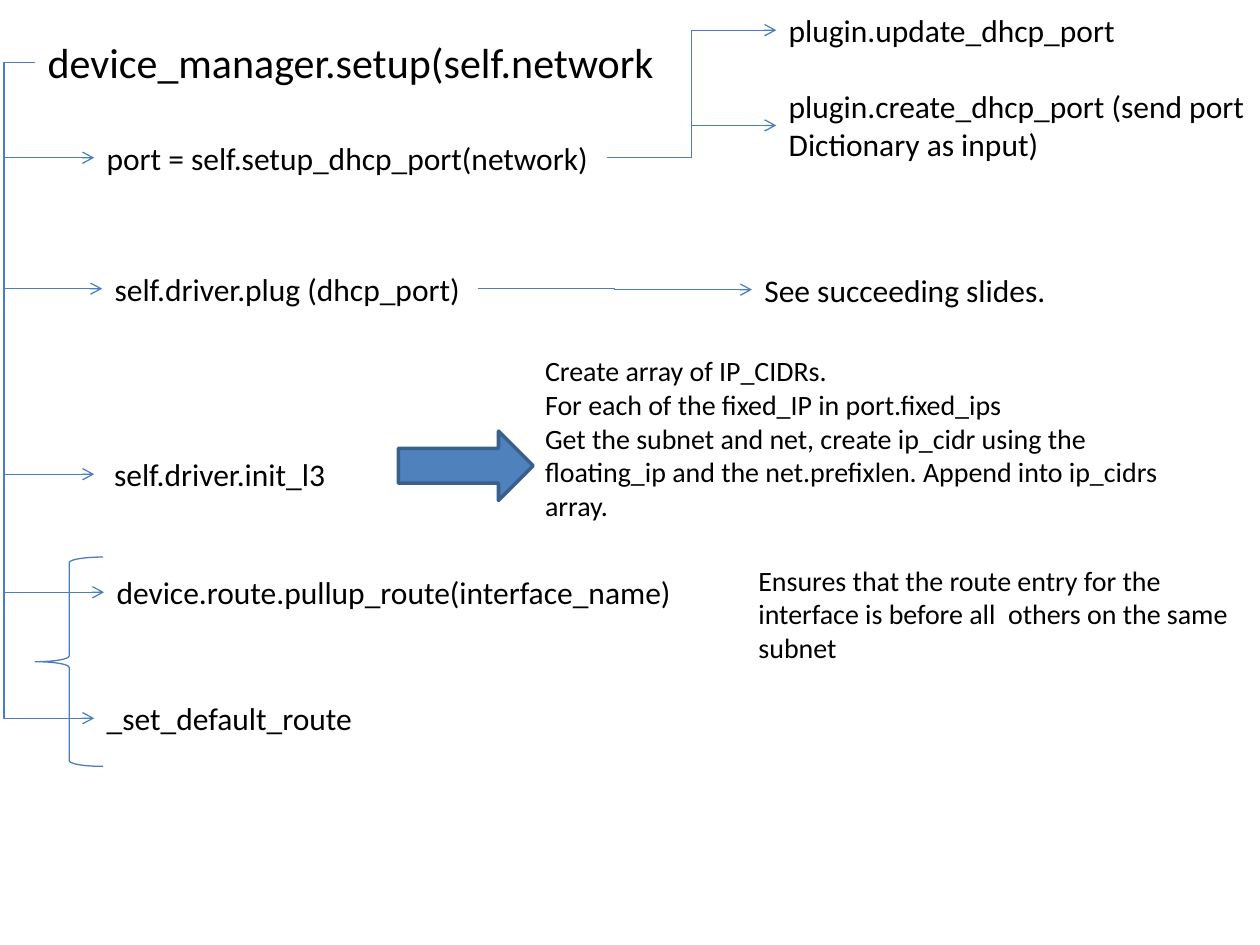
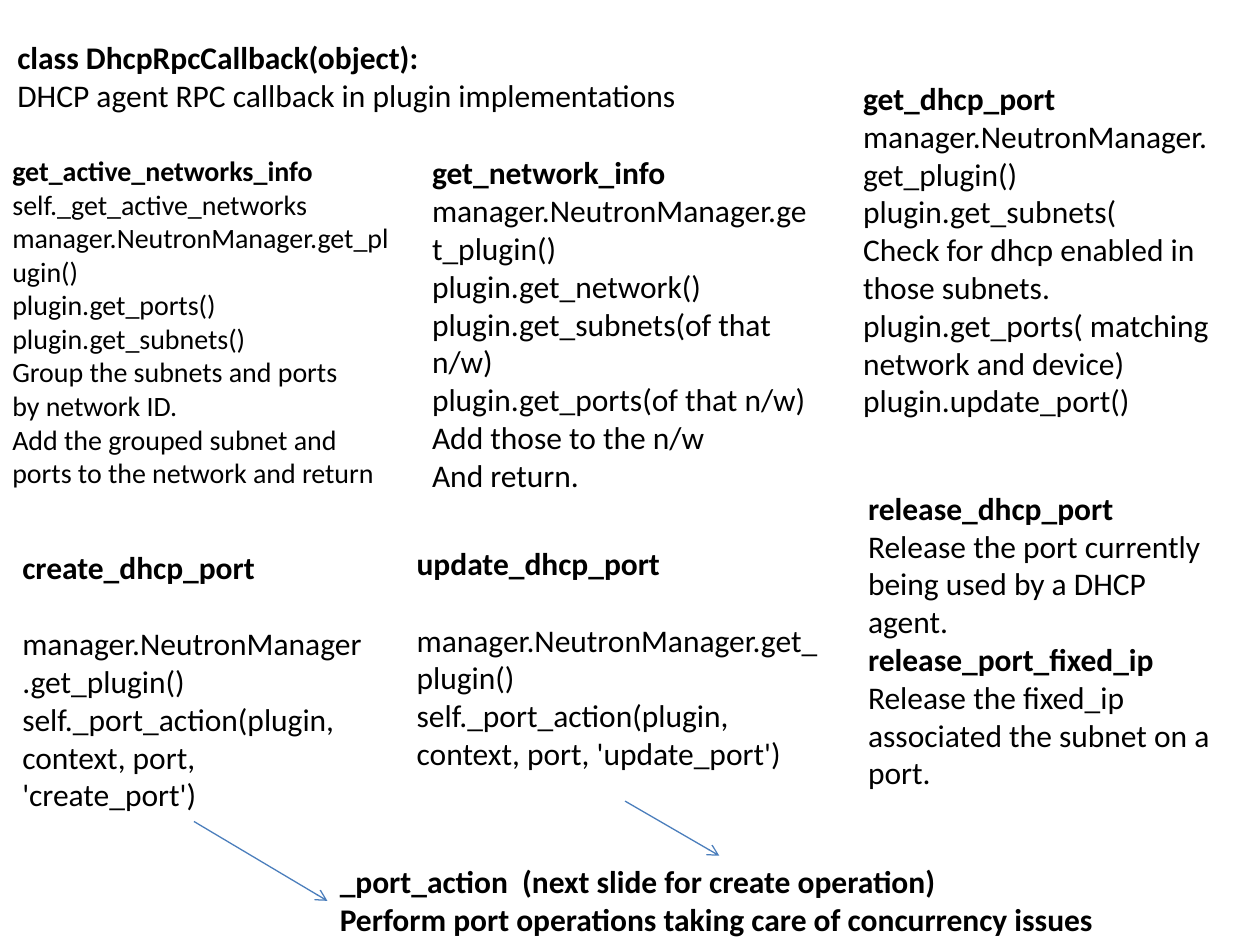
import dataclasses
import typing

import lxml.etree
import pptx
import pptx.dml.color
import pptx.enum.shapes
import pptx.enum.text
import pptx.oxml.ns
import pptx.util

Cm = pptx.util.Cm
Point = tuple[float, float]

FONT = "Calibri"
INK = "000000"
LINE = "4B7EBC"
ARROW_FILL = "4F81BD"
ARROW_EDGE = "3A5F8C"
TITLE_ONLY = 5
RAIL_X = 0.08
ROW_MIDDLE = 0.51


@dataclasses.dataclass
class Note:
    left: float
    top: float
    width: float
    height: float
    lines: list[str]
    size: int = 18
    bold: tuple[int, ...] = ()
    wrap: bool = True
    inset: float = 0.25
    heading_gap: float = 0


def colour(value: str) -> pptx.dml.color.RGBColor:
    return pptx.dml.color.RGBColor.from_string(value)


def fill_note(box: typing.Any, note: Note) -> None:
    box.left, box.top = Cm(note.left), Cm(note.top)
    box.width, box.height = Cm(note.width), Cm(note.height)
    frame = box.text_frame
    frame.text = "\n".join(note.lines)
    frame.word_wrap = note.wrap
    frame.auto_size = pptx.enum.text.MSO_AUTO_SIZE.SHAPE_TO_FIT_TEXT
    frame.vertical_anchor = pptx.enum.text.MSO_ANCHOR.TOP
    frame.margin_left = Cm(note.inset)
    for index, para in enumerate(frame.paragraphs):
        para.alignment = pptx.enum.text.PP_ALIGN.LEFT
        for span in para.runs:
            span.font.name = FONT
            span.font.size = pptx.util.Pt(note.size)
            span.font.bold = index in note.bold
            span.font.color.rgb = colour(INK)
    if note.heading_gap:
        frame.paragraphs[0].space_after = pptx.util.Pt(note.heading_gap)


def add_note(page: typing.Any, note: Note) -> None:
    fill_note(page.shapes.add_textbox(0, 0, 0, 0), note)


def add_page(deck: typing.Any, title: Note) -> typing.Any:
    page = deck.slides.add_slide(deck.slide_layouts[TITLE_ONLY])
    fill_note(page.shapes.title, title)
    return page


def add_arrow(page: typing.Any, start: Point, end: Point,
              bent: bool = False, bend_x: float | None = None) -> None:
    kinds = pptx.enum.shapes.MSO_CONNECTOR
    kind = kinds.ELBOW if bent else kinds.STRAIGHT
    arrow = page.shapes.add_connector(kind, *map(Cm, start + end))
    arrow.line.color.rgb = colour(LINE)
    arrow.line.width = pptx.util.Pt(0.75)
    qn = pptx.oxml.ns.qn
    properties = arrow._element.spPr
    lxml.etree.SubElement(properties.find(qn("a:ln")), qn("a:tailEnd"), type="arrow")
    lxml.etree.SubElement(properties, qn("a:effectLst"))
    if bend_x is not None:
        share = round((bend_x - start[0]) / (end[0] - start[0]) * 100000)
        guides = properties.find(qn("a:prstGeom")).find(qn("a:avLst"))
        lxml.etree.SubElement(guides, qn("a:gd"), name="adj1", fmla=f"val {share}")


def add_outline(page: typing.Any, kind: typing.Any, area: tuple[float, ...],
                line: str, width: float, fill: str | None = None) -> None:
    shape = page.shapes.add_shape(kind, *map(Cm, area))
    shape.shadow.inherit = False
    shape.line.color.rgb = colour(line)
    shape.line.width = pptx.util.Pt(width)
    if fill:
        shape.fill.solid()
        shape.fill.fore_color.rgb = colour(fill)
    else:
        shape.fill.background()


def build_setup_page(deck: typing.Any) -> None:
    page = add_page(deck, Note(0.71, 0.61, 12.85, 1.27,
                               ["device_manager.setup(self.network"], 24, wrap=False))
    steps = [
        Note(1.9, 2.67, 10.34, 1.02, ["port = self.setup_dhcp_port(network)"], wrap=False),
        Note(2.06, 5.31, 7.57, 1.02, ["self.driver.plug (dhcp_port)"], wrap=False),
        Note(1.9, 9.05, 4.95, 1.02, ["self.driver.init_l3"], wrap=False, inset=0.4),
        Note(2.1, 11.43, 11.81, 1.02, ["device.route.pullup_route(interface_name)"],
             wrap=False),
        Note(1.9, 13.97, 5.51, 1.02, ["_set_default_route"], wrap=False),
    ]
    details = [
        Note(15.65, 0.1, 7.16, 1.02, ["plugin.update_dhcp_port"], wrap=False),
        Note(15.65, 1.63, 9.96, 1.8,
             ["plugin.create_dhcp_port (send port ", "Dictionary as input)"], wrap=False),
        Note(15.16, 5.33, 6.25, 1.02, ["See succeeding slides."], wrap=False),
        Note(10.74, 7.01, 12.9, 3.68,
             ["Create array of IP_CIDRs.",
              "For each of the fixed_IP in port.fixed_ips",
              "Get the subnet and net, create ip_cidr using the floating_ip and the "
              "net.prefixlen. Append into ip_cidrs array."], 16),
        Note(15.04, 11.23, 10.59, 2.31,
             ["Ensures that the route entry for the interface is before all  others "
              "on the same subnet"], 16),
    ]
    for note in steps + details:
        add_note(page, note)
    for step in steps:
        add_arrow(page, (0.71, 1.26), (step.left, step.top + ROW_MIDDLE), True, RAIL_X)
    port, plug = steps[:2]
    for source, target in [(port, details[0]), (port, details[1]), (plug, details[2])]:
        add_arrow(page, (source.left + source.width, source.top + ROW_MIDDLE),
                  (target.left, target.top + target.height / 2), True)
    shapes = pptx.enum.shapes.MSO_SHAPE
    add_outline(page, shapes.RIGHT_ARROW, (8.03, 8.69, 2.72, 1.4),
                ARROW_EDGE, 2, ARROW_FILL)
    add_outline(page, shapes.LEFT_BRACE, (0.71, 11.23, 1.37, 4.22), LINE, 0.75)


def port_action_note(action: str, left: float, top: float, width: float) -> Note:
    return Note(left, top, width, 5.64,
                [f"{action}_dhcp_port", "manager.NeutronManager.get_plugin()",
                 f"self._port_action(plugin, context, port, '{action}_port')"],
                bold=(0,), heading_gap=22)


def build_callback_page(deck: typing.Any) -> None:
    page = add_page(deck, Note(0.1, 0.64, 13.94, 1.8,
                               ["class DhcpRpcCallback(object):",
                                "DHCP agent RPC callback in plugin implementations"],
                               bold=(0,), wrap=False))
    notes = [
        Note(0, 2.97, 8.15, 7.09,
             ["get_active_networks_info", "self._get_active_networks",
              "manager.NeutronManager.get_plugin()", "plugin.get_ports()",
              "plugin.get_subnets()", "Group the subnets and ports", "by network ID.",
              "Add the grouped subnet and ports to the network and return"], 16, (0,)),
        Note(8.46, 2.97, 8.26, 7.19,
             ["get_network_info", "manager.NeutronManager.get_plugin()",
              "plugin.get_network()", "plugin.get_subnets(of that n/w)",
              "plugin.get_ports(of that n/w)", "Add those to the n/w", "And return."],
             bold=(0,)),
        Note(17.15, 1.47, 7.62, 7.19,
             ["get_dhcp_port", "manager.NeutronManager.get_plugin()",
              "plugin.get_subnets(", "Check for dhcp enabled in those subnets.",
              "plugin.get_ports( matching network and device)", "plugin.update_port()"],
             bold=(0,)),
        Note(17.25, 9.73, 7.72, 6.4,
             ["release_dhcp_port", "Release the port currently being used by a DHCP agent.",
              "release_port_fixed_ip",
              "Release the fixed_ip associated the subnet on a port."], bold=(0, 2)),
        port_action_note("create", 0.2, 10.92, 7.42),
        port_action_note("update", 8.15, 10.85, 8.59),
        Note(6.6, 17.25, 15.82, 1.8,
             ["_port_action  (next slide for create operation)",
              "Perform port operations taking care of concurrency issues"],
             bold=(0, 1), wrap=False),
    ]
    for note in notes:
        add_note(page, note)
    add_arrow(page, (12.6, 16.15), (14.5, 17.25))
    add_arrow(page, (3.91, 16.56), (6.6, 18.16))


def main() -> None:
    deck = pptx.Presentation()
    deck.slide_width, deck.slide_height = Cm(25.4), Cm(19.05)
    build_setup_page(deck)
    build_callback_page(deck)
    deck.save("out.pptx")


main()
